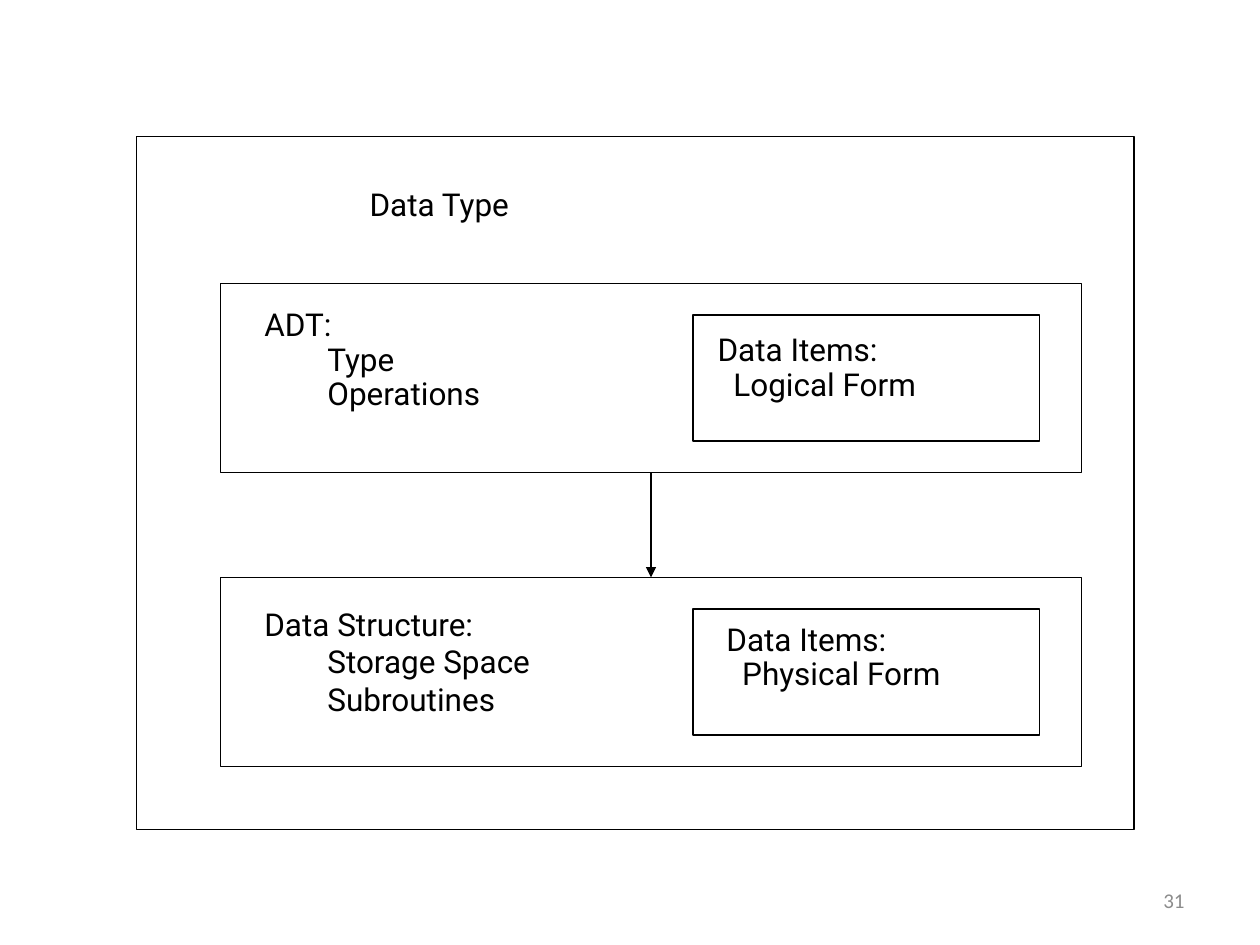
"""Build a slide that relates a data type's ADT to its data structure."""
from pptx import Presentation
from pptx.dml.color import RGBColor
from pptx.enum.shapes import MSO_CONNECTOR as Connector, MSO_SHAPE as Shape
from pptx.enum.text import MSO_ANCHOR as Anchor, MSO_AUTO_SIZE as AutoSize, PP_ALIGN as Align
from pptx.oxml.ns import qn
from pptx.util import Pt
from lxml.etree import SubElement

BLACK, GRAY = "000000", "8C8C8C"
TITLE = "Data Type"
PAGE_NUMBER = "31"
LEVELS = [
    {"top": 162, "heading": "ADT:", "parts": ["Type", "Operations"],
     "text_at": (144, 180, 198, 79), "tight": True,
     "form": "Logical Form", "form_at": (403, 194.5, 197, 50)},
    {"top": 330, "heading": "Data Structure:", "parts": ["Storage Space", "Subroutines"],
     "text_at": (144, 342, 210, 94), "tight": False,
     "form": "Physical Form", "form_at": (408, 360, 198, 50)},
]
OUTER = (78, 78, 570, 396)
LEFT, WIDTH, HEIGHT = 126, 492, 108
ITEM_LEFT, ITEM_WIDTH, INSET = 396, 198, 18


def color(value):
    return RGBColor.from_string(value)


def points(values):
    return [Pt(value) for value in values]


def add_box(slide, *place):
    shape = slide.shapes.add_shape(Shape.RECTANGLE, *points(place))
    shape.shadow.inherit = False
    shape.fill.background()
    shape.line.color.rgb = color(BLACK)
    shape.line.width = Pt(0.75)


def add_arrow(slide, x, start, end):
    arrow = slide.shapes.add_connector(Connector.STRAIGHT, *points((x, start, x, end)))
    arrow.line.color.rgb = color(BLACK)
    arrow.line.width = Pt(0.75)
    SubElement(arrow.line._get_or_add_ln(), qn("a:tailEnd"), type="triangle")
    SubElement(arrow._element.spPr, qn("a:effectLst"))


def style(paragraph, size=18, name="Roboto", hue=BLACK):
    paragraph.font.size = Pt(size)
    paragraph.font.name = name
    paragraph.font.color.rgb = color(hue)


def add_list(slide, place, heading, items, indent, tight):
    frame = slide.shapes.add_textbox(*points(place)).text_frame
    frame.word_wrap = True
    frame.text = "\n".join([heading, *items])
    for index, paragraph in enumerate(frame.paragraphs):
        if index:
            paragraph._p.get_or_add_pPr().set("marL", str(Pt(indent)))
        if tight:
            paragraph.line_spacing = 0.5
            paragraph.space_before = Pt(9 if index else 0)
        style(paragraph)


def add_title(slide):
    title = slide.shapes.title
    title.left, title.top, title.width, title.height = points((204, 102, 336, 36))
    frame = title.text_frame
    frame.text = TITLE
    frame.auto_size = AutoSize.NONE
    frame.vertical_anchor = Anchor.TOP
    frame.paragraphs[0].alignment = Align.LEFT
    style(frame.paragraphs[0])


def add_page_number(slide):
    frame = slide.shapes.add_textbox(*points((516, 500, 168, 29))).text_frame
    frame.word_wrap = True
    frame.text = PAGE_NUMBER
    frame.vertical_anchor = Anchor.MIDDLE
    frame.paragraphs[0].alignment = Align.RIGHT
    style(frame.paragraphs[0], 12, "Calibri", GRAY)


def main():
    presentation = Presentation()
    presentation.slide_width, presentation.slide_height = Pt(720), Pt(540)
    slide = presentation.slides.add_slide(presentation.slide_layouts[5])
    add_title(slide)
    add_box(slide, *OUTER)
    for level in LEVELS:
        top = level["top"]
        add_box(slide, LEFT, top, WIDTH, HEIGHT)
        add_box(slide, ITEM_LEFT, top + INSET, ITEM_WIDTH, HEIGHT - 2 * INSET)
        add_list(slide, level["text_at"], level["heading"], level["parts"], 36, level["tight"])
        add_list(slide, level["form_at"], "Data Items:", [level["form"]], 9, True)
    upper, lower = LEVELS
    add_arrow(slide, LEFT + WIDTH / 2, upper["top"] + HEIGHT, lower["top"])
    add_page_number(slide)
    presentation.save("out.pptx")


if __name__ == "__main__":
    main()
